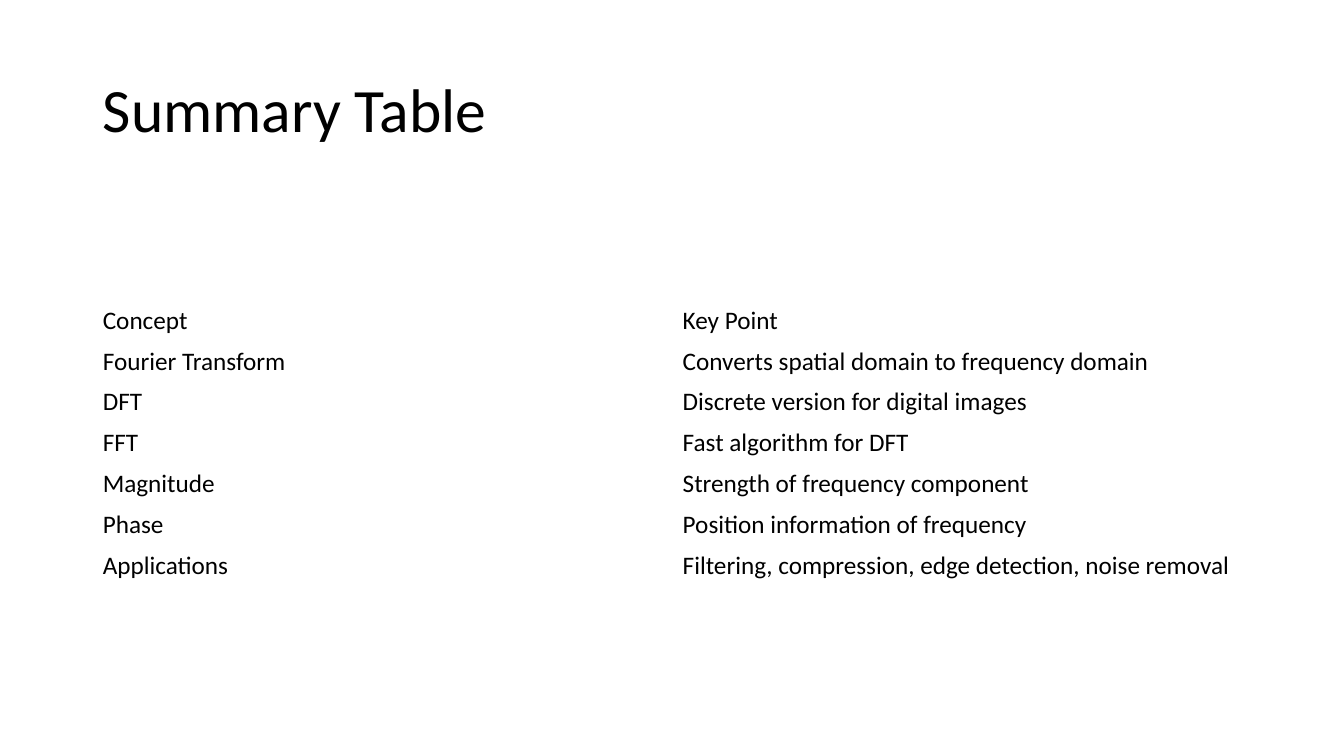
from dataclasses import dataclass

from pptx import Presentation
from pptx.dml.color import RGBColor
from pptx.enum.text import MSO_ANCHOR, MSO_AUTO_SIZE, PP_ALIGN
from pptx.util import Inches, Pt


@dataclass(frozen=True)
class Theme:
    font: str = "Calibri"
    ink: RGBColor = RGBColor(0, 0, 0)
    paper: RGBColor = RGBColor(255, 255, 255)
    head: int = 44
    text: int = 18


THEME = Theme()
WIDE, HIGH = Inches(13.33), Inches(7.5)
LEFT, SPAN = 0.069, 0.863  # shares of the slide width
TITLE_TOP, TITLE_HIGH = 0.053, 0.193  # shares of the slide height
GRID_TOP, ROW_HIGH = 0.397, 0.0533

ROWS = [
    ("Concept", "Key Point"),
    ("Fourier Transform", "Converts spatial domain to frequency domain"),
    ("DFT", "Discrete version for digital images"),
    ("FFT", "Fast algorithm for DFT"),
    ("Magnitude", "Strength of frequency component"),
    ("Phase", "Position information of frequency"),
    ("Applications", "Filtering, compression, edge detection, noise removal"),
]


def apply(item, form):
    """Set each attribute named in form on item."""
    for name, value in form.items():
        setattr(item, name, value)


def place(top, high):
    """Turn shares of the slide into left, top, width and height."""
    return [int(n) for n in (LEFT * WIDE, top * HIGH, SPAN * WIDE, high * HIGH)]


def style(par, size):
    par.alignment = PP_ALIGN.LEFT
    apply(par.font, {"name": THEME.font, "size": Pt(size), "bold": False})
    par.font.color.rgb = THEME.ink


def add_title(slide, text):
    title = slide.shapes.title
    apply(title, dict(zip(("left", "top", "width", "height"),
                          place(TITLE_TOP, TITLE_HIGH))))
    frame = title.text_frame
    apply(frame, {"text": text, "word_wrap": True,
                  "auto_size": MSO_AUTO_SIZE.NONE,
                  "vertical_anchor": MSO_ANCHOR.MIDDLE})
    par = frame.paragraphs[0]
    par.line_spacing = 0.9
    style(par, THEME.head)


def add_grid(slide, rows):
    count = len(rows)
    box = place(GRID_TOP, ROW_HIGH * count)
    grid = slide.shapes.add_table(count, len(rows[0]), *box).table
    apply(grid, {"first_row": False, "horz_banding": False})
    for r, row in enumerate(rows):
        for c, text in enumerate(row):
            cell = grid.cell(r, c)
            apply(cell, {"text": text, "vertical_anchor": MSO_ANCHOR.MIDDLE})
            cell.fill.background()
            style(cell.text_frame.paragraphs[0], THEME.text)


def main():
    deck = Presentation()
    apply(deck, {"slide_width": WIDE, "slide_height": HIGH})
    slide = deck.slides.add_slide(deck.slide_layouts.get_by_name("Title Only"))
    back = slide.background.fill
    back.solid()
    back.fore_color.rgb = THEME.paper
    add_title(slide, "Summary Table")
    add_grid(slide, ROWS)
    deck.save("out.pptx")


if __name__ == "__main__":
    main()
